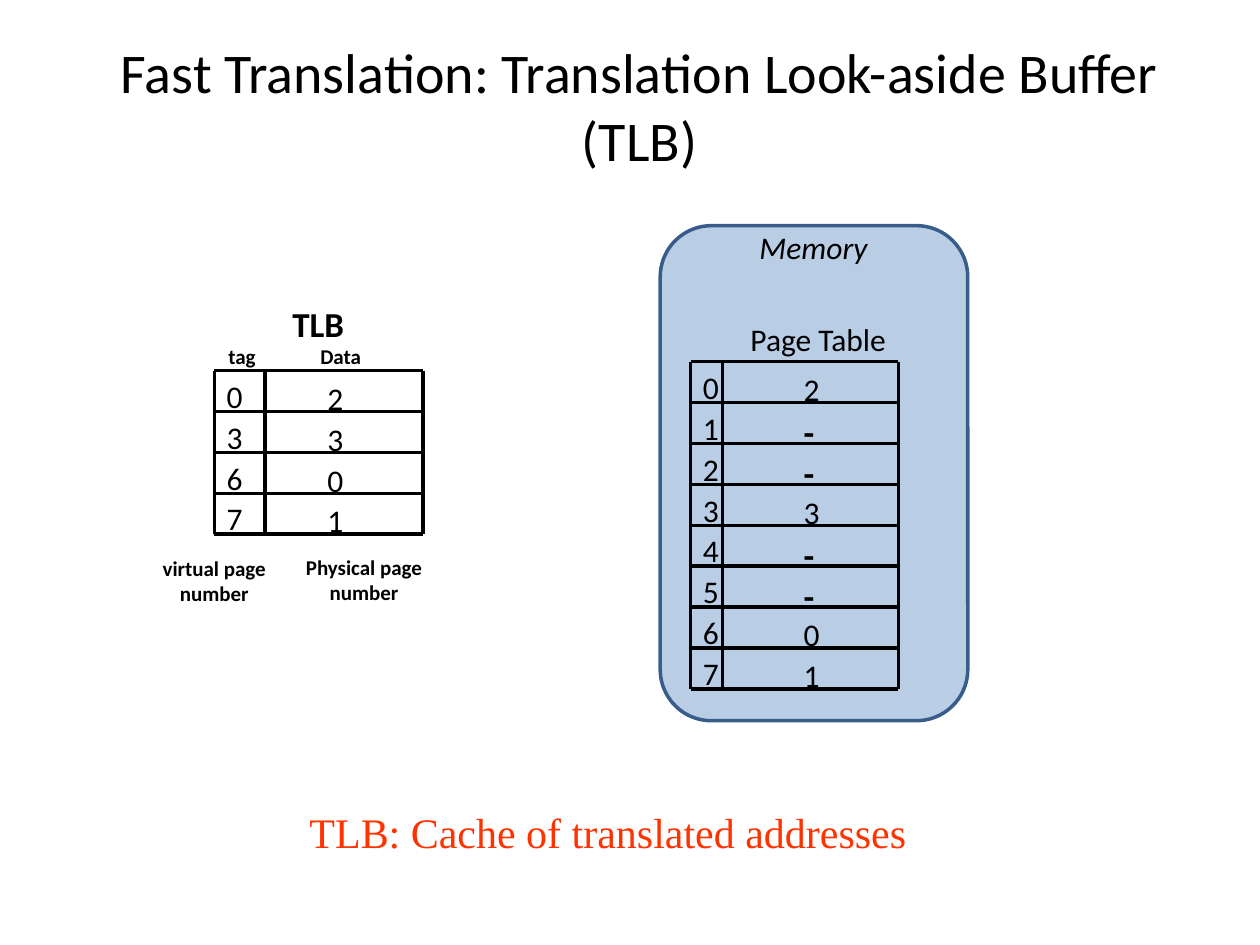
from lxml import etree
from pptx import Presentation
from pptx.dml.color import RGBColor
from pptx.enum.shapes import MSO_CONNECTOR, MSO_SHAPE
from pptx.enum.text import MSO_ANCHOR, PP_ALIGN
from pptx.oxml.ns import qn
from pptx.util import Cm, Pt

BLACK = "000000"
CELL_WIDTH = 0.64
VALUE_DROP = 0.04  # values sit slightly below their row's index


def rgb(value):
    return RGBColor.from_string(value)


def add_text(s, text, x, y, w, h, size=18, color=BLACK, font="Calibri",
             bold=False, italic=False, align=PP_ALIGN.CENTER,
             anchor=MSO_ANCHOR.TOP, wrap=True):
    tf = s.shapes.add_textbox(Cm(x), Cm(y), Cm(w), Cm(h)).text_frame
    tf.word_wrap = wrap
    tf.vertical_anchor = anchor
    p = tf.paragraphs[0]
    p.text = text
    p.alignment = align
    r = p.runs[0]
    r.font.name = font
    r.font.size = Pt(size)
    r.font.bold = bold
    r.font.italic = italic
    r.font.color.rgb = rgb(color)


def add_line(s, x1, y1, x2, y2):
    line = s.shapes.add_connector(
        MSO_CONNECTOR.STRAIGHT, Cm(x1), Cm(y1), Cm(x2), Cm(y2))
    line.line.color.rgb = rgb(BLACK)
    line.line.width = Pt(2)
    etree.SubElement(line._element.spPr, qn("a:effectLst"))


def add_memory(s, x, y, w, h):
    sp = s.shapes.add_shape(
        MSO_SHAPE.ROUNDED_RECTANGLE, Cm(x), Cm(y), Cm(w), Cm(h))
    sp.shadow.inherit = False
    sp.fill.solid()
    sp.fill.fore_color.rgb = rgb("B9CDE5")
    sp.line.color.rgb = rgb("385D8A")
    sp.line.width = Pt(2)


def add_lookup_grid(s, x, y, w, h, divider, value_x, rows):
    """Draw a ruled two-column grid with overhanging index and value labels."""
    row_height = h / len(rows)
    for i in range(len(rows) + 1):
        line_y = y + i * row_height
        add_line(s, x, line_y, x + w, line_y)
    for line_x in (x, x + divider, x + w):
        add_line(s, line_x, y, line_x, y + h)
    for i, (index, value) in enumerate(rows):
        top = y + i * row_height
        unmapped = value == "-"
        add_text(s, index, x, top, CELL_WIDTH, 1.02, align=PP_ALIGN.LEFT)
        add_text(s, value, value_x, top + VALUE_DROP, CELL_WIDTH, 1.02,
                 size=20 if unmapped else 18, bold=unmapped,
                 align=PP_ALIGN.LEFT)


def main():
    prs = Presentation()
    prs.slide_width, prs.slide_height = Cm(25.4), Cm(19.05)
    s = prs.slides.add_slide(prs.slide_layouts[6])

    add_text(s, "Fast Translation: Translation Look-aside Buffer (TLB)",
             1.07, 0.53, 23.65, 3.18, size=32, anchor=MSO_ANCHOR.MIDDLE)

    add_memory(s, 13.31, 4.55, 6.2, 9.98)
    add_text(s, "Memory", 14.15, 4.47, 4.5, 1.02, italic=True)
    add_text(s, "Page Table", 14.4, 6.32, 4.19, 1.02)
    page_table = list(zip("01234567", "2--3--01"))
    add_lookup_grid(s, 13.92, 7.29, 4.19, 6.6, 0.64, 15.95, page_table)

    add_text(s, "TLB", 4.32, 5.97, 4.19, 1.12, size=20, bold=True)
    tlb = [(page, frame) for page, frame in page_table if frame != "-"]
    add_lookup_grid(s, 4.32, 7.47, 4.21, 3.3, 1.02, 6.35, tlb)
    for text, x, y, w, h in (
        ("tag", 4.32, 6.81, 1.12, 0.76),
        ("Data", 5.31, 6.81, 3.12, 0.76),
        ("virtual page number", 2.67, 11.07, 3.3, 1.27),
        ("Physical page number", 5.69, 11.05, 3.3, 1.27),
    ):
        add_text(s, text, x, y, w, h, size=12, bold=True)

    add_text(s, "TLB: Cache of translated addresses", 5.99, 16.13, 12.55, 1.27,
             size=24, color="FF3300", font="Times New Roman",
             align=PP_ALIGN.LEFT, wrap=False)
    prs.save("out.pptx")


if __name__ == "__main__":
    main()
